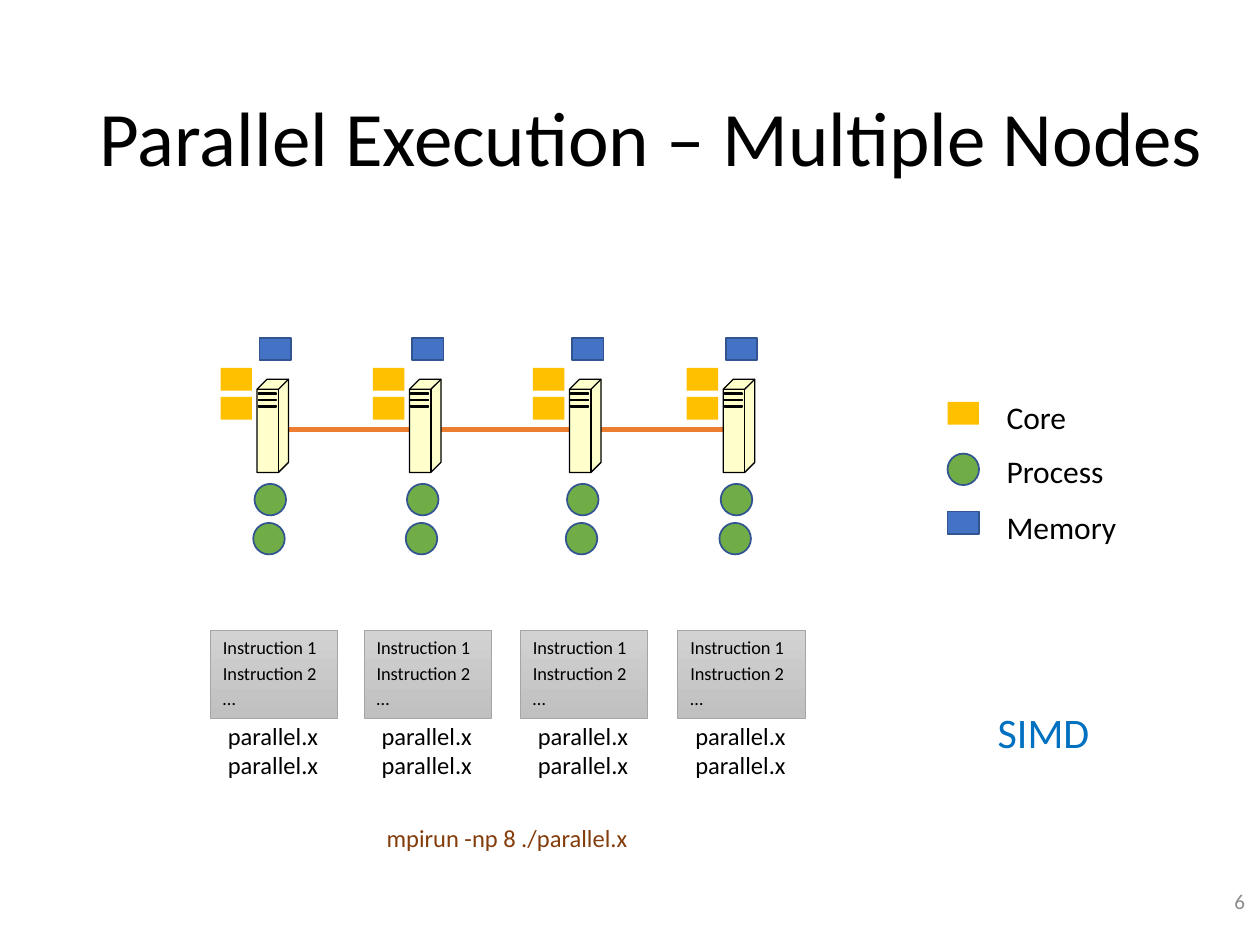
import pptx
import pptx.util
import pptx.dml.color
import pptx.enum.shapes
import pptx.enum.text
import lxml.etree

Inches, Pt = pptx.util.Inches, pptx.util.Pt
RGB = pptx.dml.color.RGBColor.from_string
SHAPE = pptx.enum.shapes.MSO_SHAPE
ALIGN = pptx.enum.text.PP_ALIGN
ANCHOR = pptx.enum.text.MSO_ANCHOR

# Content
TITLE = "Parallel Execution – Multiple Nodes"
PAGE = "6"
COMMAND = "mpirun -np 8 ./parallel.x"
MODEL = "SIMD"
PROGRAM = "parallel.x"
INSTRUCTIONS = ["Instruction 1", "Instruction 2", "…"]
NODES = [(2.04, 1.67), (3.25, 2.89), (4.52, 4.13), (5.74, 5.38)]  # server x, code x
LEGEND = [("Core", "core", 3.19, 3.11),  # name, marker, marker y, label y
          ("Process", "process", 3.60, 3.54),
          ("Memory", "memory", 4.06, 3.98)]

COLORS = {"text": "000000", "page": "8C8C8C", "command": "843C0B",
          "model": "0070C0", "core": "FFC000", "process": "70AD47",
          "memory": "4472C4", "outline": "325491", "network": "ED7D31",
          "server": "FFFFCC", "code_top": "D2D2D2", "code_bottom": "C0C0C0",
          "code_line": "A5A5A5"}
FONT = "Calibri"

# Marker kinds: preset shape, height, outline; all share one width
MARK_W = 0.25
MARKERS = {"core": (SHAPE.RECTANGLE, 0.18, None),
           "process": (SHAPE.OVAL, 0.25, "outline"),
           "memory": (SHAPE.RECTANGLE, 0.18, "outline")}
# Markers around each server: kind, offset from server x, y
NODE_MARKS = [("memory", 0.02, 2.68),
              ("core", -0.29, 2.92), ("core", -0.29, 3.15),
              ("process", -0.02, 3.84), ("process", -0.03, 4.15)]

# Server outline and front details, in hundredths of an inch from its top left
SERVER_Y, NETWORK_Y = 3.01, 3.41
SERVER_BODY = [[(0, 8), (8, 0), (25, 0), (25, 66), (17, 74), (0, 74)]]
SERVER_EDGES = [[(0, 8), (17, 8), (25, 0)], [(17, 8), (17, 74)]]
SERVER_SLOTS = [[(1, y), (15, y), (15, y + 1), (1, y + 1)] for y in (11, 16, 21)]

prs = pptx.Presentation()
prs.slide_width, prs.slide_height = Inches(10), Inches(7.5)
s = prs.slides.add_slide(prs.slide_layouts[5])


def style(sp, fill=None, line=None, width=1):
    sp.shadow.inherit = False
    if fill:
        sp.fill.solid()
        sp.fill.fore_color.rgb = RGB(COLORS[fill])
    else:
        sp.fill.background()
    if line:
        sp.line.color.rgb = RGB(COLORS[line])
        sp.line.width = Pt(width)
    else:
        sp.line.fill.background()


def write(tf, lines, size, color="text", wrap=True, **paragraph):
    tf.word_wrap = wrap
    tf.auto_size = pptx.enum.text.MSO_AUTO_SIZE.NONE
    for i, line in enumerate(lines):
        p = tf.paragraphs[0] if i == 0 else tf.add_paragraph()
        for key, value in {"alignment": ALIGN.LEFT, **paragraph}.items():
            if i or key != "space_before":
                setattr(p, key, value)
        r = p.add_run()
        r.text = line
        for key, value in {"name": FONT, "size": Pt(size)}.items():
            setattr(r.font, key, value)
        r.font.color.rgb = RGB(COLORS[color])


def add_text(text, x, y, w, h, size, **options):
    tf = s.shapes.add_textbox(*map(Inches, (x, y, w, h))).text_frame
    write(tf, [text], size, **options)
    return tf


def add_marker(kind, x, y):
    preset, height, line = MARKERS[kind]
    sp = s.shapes.add_shape(preset, *map(Inches, (x, y, MARK_W, height)))
    style(sp, kind, line)


def add_outline(contours, x, y, close, fill=None):
    builder = s.shapes.build_freeform(*contours[0][0], scale=Inches(0.01))
    for i, points in enumerate(contours):
        if i:
            builder.move_to(*points[0])
        builder.add_line_segments(points[1:], close=close)
    style(builder.convert_to_shape(Inches(x), Inches(y)), fill, "text", 0.75)


def add_code(x):
    sp = s.shapes.add_shape(SHAPE.RECTANGLE, *map(Inches, (x, 5, 1.01, 0.7)))
    style(sp, None, "code_line", 0.5)
    sp.fill.gradient()
    sp.fill.gradient_angle = 270
    for stop, name in zip(sp.fill.gradient_stops, ("code_top", "code_bottom")):
        stop.color.rgb = RGB(COLORS[name])
    sp.text_frame.vertical_anchor = ANCHOR.TOP
    write(sp.text_frame, INSTRUCTIONS, 10.5, space_before=Pt(2.1))


# Title and page number
title = s.shapes.title
for key, value in {"left": 0.69, "top": 0.4, "width": 9, "height": 1.45}.items():
    setattr(title, key, Inches(value))
title.text_frame.vertical_anchor = ANCHOR.MIDDLE
write(title.text_frame, [TITLE], 44, line_spacing=0.9)
page = add_text(PAGE, 7.73, 6.95, 2.25, 0.4, 12, color="page", alignment=ALIGN.RIGHT)
page.vertical_anchor = ANCHOR.MIDDLE

# Network line behind the servers
network = s.shapes.add_connector(
    pptx.enum.shapes.MSO_CONNECTOR.STRAIGHT,
    *map(Inches, (NODES[0][0], NETWORK_Y, NODES[-1][0] + MARK_W, NETWORK_Y)))
network.line.color.rgb = RGB(COLORS["network"])
network.line.width = Pt(3)
lxml.etree.SubElement(network._element.spPr, pptx.oxml.ns.qn("a:effectLst"))

# Nodes with their markers, code and programs
for server_x, code_x in NODES:
    add_outline(SERVER_BODY, server_x, SERVER_Y, True, "server")
    add_outline(SERVER_EDGES, server_x, SERVER_Y, False)
    add_outline(SERVER_SLOTS, server_x, SERVER_Y, True, "text")
    for kind, dx, y in NODE_MARKS:
        add_marker(kind, server_x + dx, y)
    add_code(code_x)
    for y in (5.67, 5.9):
        add_text(PROGRAM, code_x + 0.04, y, 0.93, 0.34, 14, wrap=False)

# Legend
for name, kind, mark_y, label_y in LEGEND:
    add_marker(kind, 7.52, mark_y)
    add_text(name, 7.89, label_y, 1.17, 0.4, 18)

# Command and execution model
add_text(COMMAND, 2.97, 6.48, 2.13, 0.57, 14, color="command", wrap=False)
add_text(MODEL, 7.82, 5.56, 1.1, 0.5, 24, color="model")

prs.save("out.pptx")
